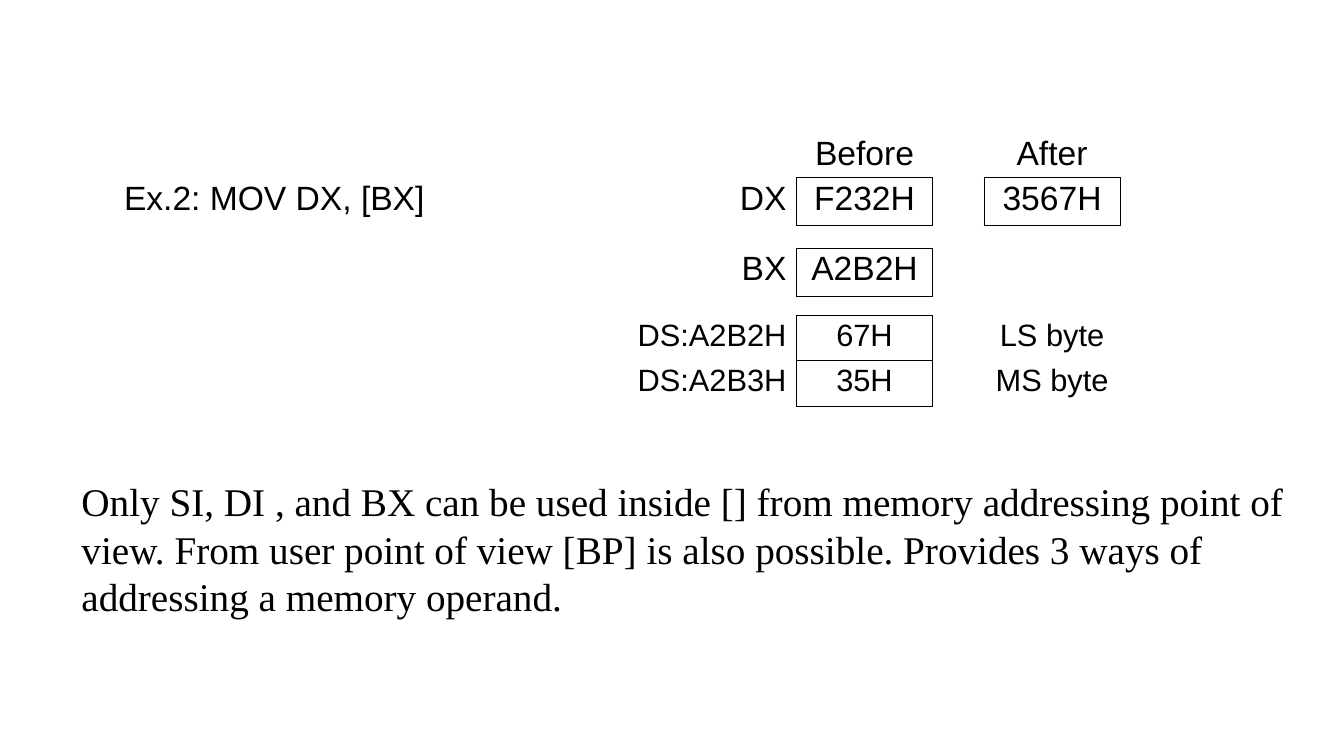
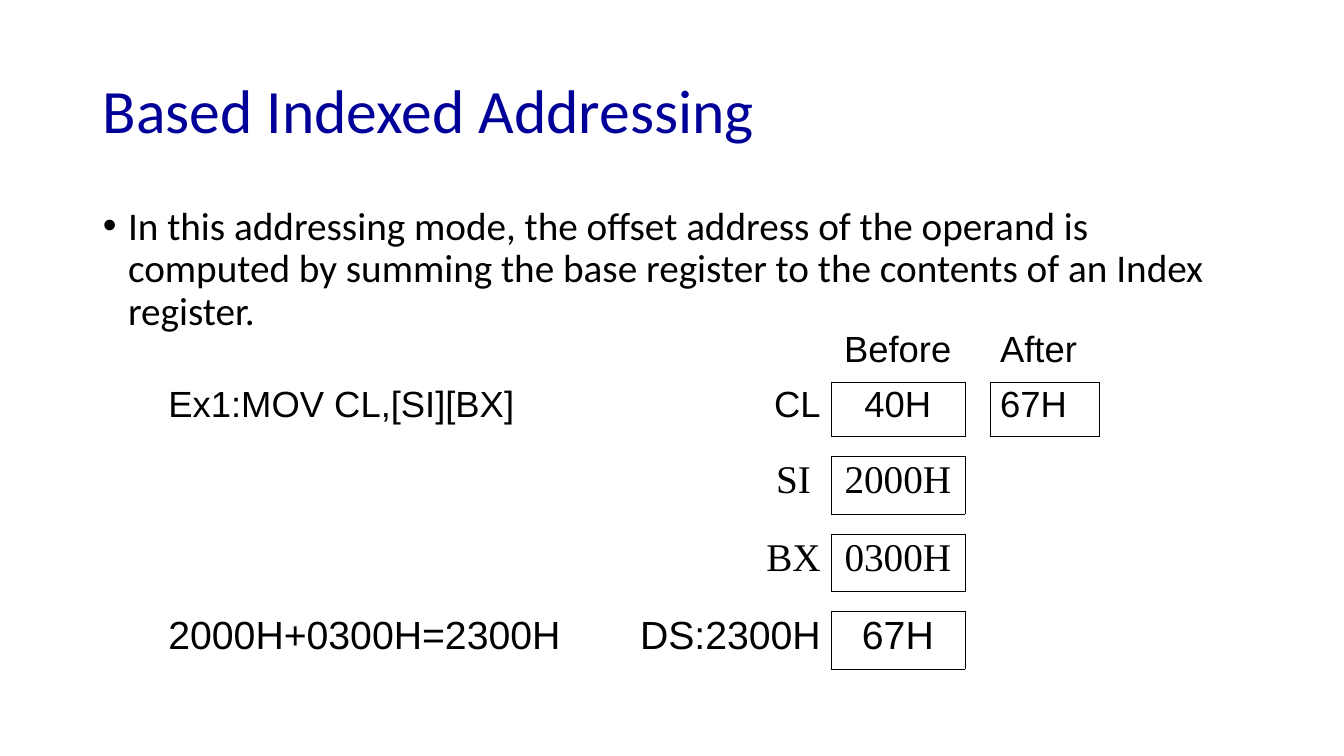
from pptx import Presentation
from pptx.dml.color import RGBColor
from pptx.enum.text import MSO_ANCHOR as Anchor, MSO_AUTO_SIZE as AutoSize, PP_ALIGN as Align
from pptx.oxml import parse_xml
from pptx.oxml.ns import nsdecls, qn
from pptx.util import Inches, Pt

COLORS = {"text": "000000", "title": "000099", "border": "000000"}
SANS, SERIF, HEADING = "Arial", "Times New Roman", "Calibri"
NO_STYLE = "{2D5ABB26-0587-4C30-8999-92F81FD0307C}"
BORDER_WIDTH = Pt(0.45)
CELL_SPACING = 0.93
VALUE_COL = 2
# Border tag and the offset of the neighbour sharing that edge
EDGES = (("lnL", 0, -1), ("lnR", 0, 1), ("lnT", -1, 0), ("lnB", 1, 0))
GAP = ("", "", "", "", "")


def style(p, size, font, color="text", align=Align.LEFT, spacing=None):
    """Format a whole paragraph."""
    p.alignment = align
    if spacing:
        p.line_spacing = spacing
    p.font.size = Pt(size)
    p.font.name = font
    p.font.color.rgb = RGBColor.from_string(COLORS[color])


def place(shape, left, top, width, height):
    shape.left, shape.top = Inches(left), Inches(top)
    shape.width, shape.height = Inches(width), Inches(height)


def fill_placeholder(sp, box, text, size, color, anchor):
    """Move a placeholder, write its text and return the paragraph."""
    place(sp, *box)
    tf = sp.text_frame
    tf.text = text
    tf.auto_size = AutoSize.NONE
    tf.vertical_anchor = anchor
    p = tf.paragraphs[0]
    style(p, size, HEADING, color, spacing=0.9)
    return p


def add_text(slide, box, text, size, font):
    tf = slide.shapes.add_textbox(*map(Inches, box)).text_frame
    tf.word_wrap = True
    tf.auto_size = AutoSize.SHAPE_TO_FIT_TEXT
    tf.text = text
    style(tf.paragraphs[0], size, font)


def set_border(cell, tag, visible):
    """Draw one cell edge, or switch it off explicitly."""
    if visible:
        width = BORDER_WIDTH
        fill = f'<a:solidFill><a:srgbClr val="{COLORS["border"]}"/></a:solidFill>'
    else:
        width, fill = 0, "<a:noFill/>"
    cell._tc.get_or_add_tcPr().append(parse_xml(
        f'<a:{tag} {nsdecls("a")} w="{width}">{fill}</a:{tag}>'))


def fill_cell(cell, text, size, font, align):
    p = cell.text_frame.paragraphs[0]
    if text:
        p.text = text
        style(p, size, font, align=align, spacing=CELL_SPACING)
    else:
        # Small empty cells keep the narrow gap rows at their height
        cell.margin_top = cell.margin_bottom = 0
        p._p.get_or_add_endParaRPr().set("sz", "800")


def add_register_table(slide, left, top, widths, rows, after_align):
    """Rows are (height, size, font, texts); register values are boxed."""
    shape = slide.shapes.add_table(
        len(rows), len(widths), Inches(left), Inches(top),
        Inches(sum(widths)), Inches(sum(row[0] for row in rows)))
    table = shape.table
    table.first_row = table.horz_banding = False
    table._tbl.tblPr.find(qn("a:tableStyleId")).text = NO_STYLE
    for column, width in zip(table.columns, widths):
        column.width = Inches(width)

    boxed = {(r, VALUE_COL) for r, row in enumerate(rows) if r and row[3][VALUE_COL]}
    boxed.add((1, 4))
    aligns = (Align.LEFT, Align.RIGHT, Align.CENTER, Align.LEFT, after_align)
    for r, (height, size, font, texts) in enumerate(rows):
        table.rows[r].height = Inches(height)
        for c, (text, align) in enumerate(zip(texts, aligns)):
            cell = table.cell(r, c)
            fill_cell(cell, text, size, font, align)
            for tag, dr, dc in EDGES:
                set_border(cell, tag, bool(boxed & {(r, c), (r + dr, c + dc)}))
            cell.fill.background()
    return table


def add_register_indirect(prs):
    slide = prs.slides.add_slide(prs.slide_layouts[6])
    table = add_register_table(slide, 1.13, 1.1, (3.98, 2.79, 1.35, 0.51, 1.35), [
        (0.66, 24, SANS, ("", "", "Before", "", "After")),
        (0.48, 24, SANS, ("Ex.2: MOV DX, [BX]", "DX", "F232H", "", "3567H")),
        (0.22, 8, SANS, GAP),
        (0.48, 24, SANS, ("", "BX", "A2B2H", "", "")),
        (0.19, 8, SANS, GAP),
        (0.45, 22, SANS, ("", "DS:A2B2H", "67H", "", "LS byte")),
        (0.45, 22, SANS, ("", "DS:A2B3H", "35H", "", "MS byte")),
    ], Align.CENTER)
    # Column headings sit on the boxes below
    for c in (2, 4):
        table.cell(0, c).vertical_anchor = Anchor.BOTTOM
    add_text(slide, (0.71, 4.69, 12.17, 1.51),
             "Only SI, DI , and BX can be used inside [] from memory addressing "
             "point of view. From user point of view [BP] is also possible. "
             "Provides 3 ways of addressing a memory operand.", 28, SERIF)


def add_based_indexed(prs):
    slide = prs.slides.add_slide(prs.slide_layouts[1])
    fill_placeholder(slide.shapes.title, (0.92, 0.4, 11.5, 1.45),
                     "Based Indexed Addressing", 44, "title", Anchor.MIDDLE)
    p = fill_placeholder(
        slide.placeholders[1], (0.92, 2, 11.5, 4.76),
        "In this addressing mode, the offset address of the operand is computed "
        "by summing the base register to the contents of an Index register.",
        28, "text", Anchor.TOP)
    p.space_before = Pt(0)
    pPr = p._p.get_or_add_pPr()
    pPr.set("marL", str(Inches(0.25)))
    pPr.set("indent", str(Inches(-0.25)))

    add_register_table(slide, 1.57, 3.25, (4.58, 2.09, 1.33, 0.25, 1.08), [
        (0.54, 26, SANS, ("", "", "Before", "", "After")),
        (0.54, 26, SANS, ("Ex1:MOV CL,[SI][BX]", "CL", "40H", "", "67H")),
        (0.2, 8, SANS, GAP),
        (0.57, 28, SERIF, ("", "SI ", "2000H", "", "")),
        (0.2, 8, SANS, GAP),
        (0.57, 28, SERIF, ("", "BX", "0300H", "", "")),
        (0.2, 8, SANS, GAP),
        (0.57, 28, SANS, ("2000H+0300H=2300H", "DS:2300H", "67H", "", "")),
    ], Align.LEFT)


def main():
    prs = Presentation()
    prs.slide_width, prs.slide_height = Inches(13.33), Inches(7.5)
    add_register_indirect(prs)
    add_based_indexed(prs)
    prs.save("out.pptx")


if __name__ == "__main__":
    main()
